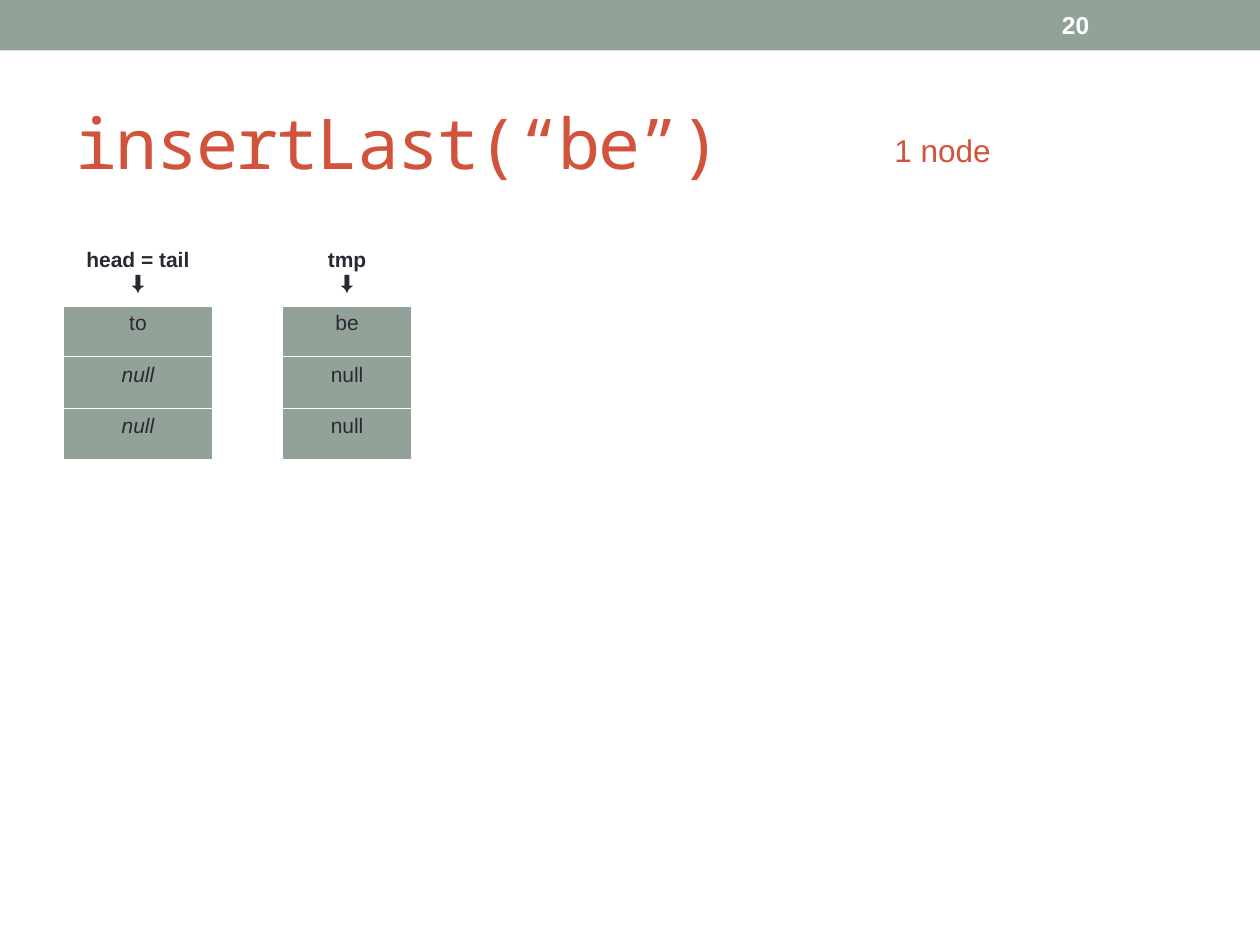
from dataclasses import dataclass

from lxml.etree import SubElement
from pptx import Presentation
from pptx.dml.color import RGBColor
from pptx.enum.shapes import MSO_SHAPE
from pptx.enum.text import MSO_ANCHOR, MSO_AUTO_SIZE, PP_ALIGN
from pptx.oxml import parse_xml
from pptx.oxml.ns import nsdecls
from pptx.util import Inches, Pt


@dataclass(frozen=True)
class Theme:
    sage: str = "93A299"
    rust: str = "D2533C"
    ink: str = "292934"
    white: str = "FFFFFF"
    body_font: str = "Arial"
    code_font: str = "Noto Sans Mono"
    title_size: int = 40
    label_size: int = 18
    number_size: int = 14
    table_size: int = 12


THEME = Theme()
TITLE_ONLY = 5
ROW_HEIGHT = 0.41
COLUMN_WIDTHS = [1.19, 0.55, 1.03, 0.23] + [0.75] * 8

# Column index -> pointer name, values of the node, whether nulls are italic
NODES = {
    0: ("head = tail", ["to", "null", "null"], True),
    2: ("tmp", ["be", "null", "null"], False),
}


def style(para, size, color, font=THEME.body_font, bold=False, italic=False):
    para.font.name = font
    para.font.size = Pt(size)
    para.font.bold = bold
    para.font.italic = italic
    para.font.color.rgb = RGBColor.from_string(color)


def add_banner(page, left, top, width, height, number):
    """Full-width band with the slide number near its right end."""
    band = page.shapes.add_shape(MSO_SHAPE.RECTANGLE, left, top, width, height)
    band.shadow.inherit = False
    band.fill.solid()
    band.fill.fore_color.rgb = RGBColor.from_string(THEME.sage)
    band.line.fill.background()

    box = page.shapes.add_textbox(left + int(width * 0.833), top + int(height * 0.05),
                                  int(width * 0.117), int(height * 0.9))
    frame = box.text_frame
    frame.word_wrap = True
    frame.vertical_anchor = MSO_ANCHOR.MIDDLE
    frame.text = number
    style(frame.paragraphs[0], THEME.number_size, THEME.white, bold=True)


def set_title(page, left, top, width, height, text):
    title = page.shapes.title
    title.left, title.top, title.width, title.height = left, top, width, height
    frame = title.text_frame
    frame.auto_size = MSO_AUTO_SIZE.NONE
    frame.vertical_anchor = MSO_ANCHOR.MIDDLE
    frame.text = text
    para = frame.paragraphs[0]
    para.alignment = PP_ALIGN.LEFT
    style(para, THEME.title_size, THEME.rust, THEME.code_font)
    para.runs[0].font._element.set("spc", "-100")


def add_node_count(page, left, top, width, height, text):
    box = page.shapes.add_textbox(left, top, width, height)
    frame = box.text_frame
    frame.word_wrap = False
    frame.auto_size = MSO_AUTO_SIZE.SHAPE_TO_FIT_TEXT
    frame.text = text
    style(frame.paragraphs[0], THEME.label_size, THEME.rust)


def set_borders(cell, bottom):
    properties = cell._tc.get_or_add_tcPr()
    for index, (side, points) in enumerate(zip("LRTB", (1, 1, 1, bottom))):
        line = parse_xml(f'<a:ln{side} {nsdecls("a")} w="{Pt(points)}"/>')
        fill = SubElement(line, line.tag.replace(f"ln{side}", "solidFill"))
        SubElement(fill, line.tag.replace(f"ln{side}", "srgbClr"), val=THEME.white)
        properties.insert(index, line)


def fill_cell(cell, color):
    if color is None:
        cell.fill.background()
    else:
        cell.fill.solid()
        cell.fill.fore_color.rgb = RGBColor.from_string(color)


def write_cell(cell, text, bold=False, italic=False):
    cell.text = text
    for para in cell.text_frame.paragraphs:
        para.alignment = PP_ALIGN.CENTER
        style(para, THEME.table_size, THEME.ink, bold=bold, italic=italic)


def add_node_table(page, left, top, width, row_height):
    """Linked-list nodes as columns, each under the name that points to it."""
    row_count, column_count = 4, len(COLUMN_WIDTHS)
    table = page.shapes.add_table(row_count, column_count, left, top,
                                  width, row_height * row_count).table
    table.first_row = table.horz_banding = False
    for column, share in zip(table.columns, COLUMN_WIDTHS):
        column.width = int(width * share / sum(COLUMN_WIDTHS))
    for row in table.rows:
        row.height = row_height

    for row in range(row_count):
        for column in range(column_count):
            cell = table.cell(row, column)
            if row == 0 or column == column_count - 1:
                color = None
            else:
                color = THEME.sage if column in NODES else THEME.white
            fill_cell(cell, color)
            set_borders(cell, bottom=3 if row == 0 else 1)

    for column, (pointer, values, italic_nulls) in NODES.items():
        write_cell(table.cell(0, column), f"{pointer}\n⬇", bold=True)
        for row, value in enumerate(values, start=1):
            write_cell(table.cell(row, column), value,
                       italic=italic_nulls and value == "null")


def main():
    deck = Presentation()
    deck.slide_width, deck.slide_height = Inches(10), Inches(7.5)
    page = deck.slides.add_slide(deck.slide_layouts[TITLE_ONLY])
    margin = int(deck.slide_width * 0.05)
    content_width = deck.slide_width - 2 * margin

    add_banner(page, 0, 0, deck.slide_width, Inches(0.4), "20")
    set_title(page, margin, Inches(0.58), content_width, Inches(1.08), "insertLast(“be”)")
    add_node_table(page, margin, Inches(1.92), content_width, Inches(ROW_HEIGHT))
    add_node_count(page, Inches(7), Inches(0.99), Inches(0.97), Inches(0.4), "1 node")
    deck.save("out.pptx")


if __name__ == "__main__":
    main()
